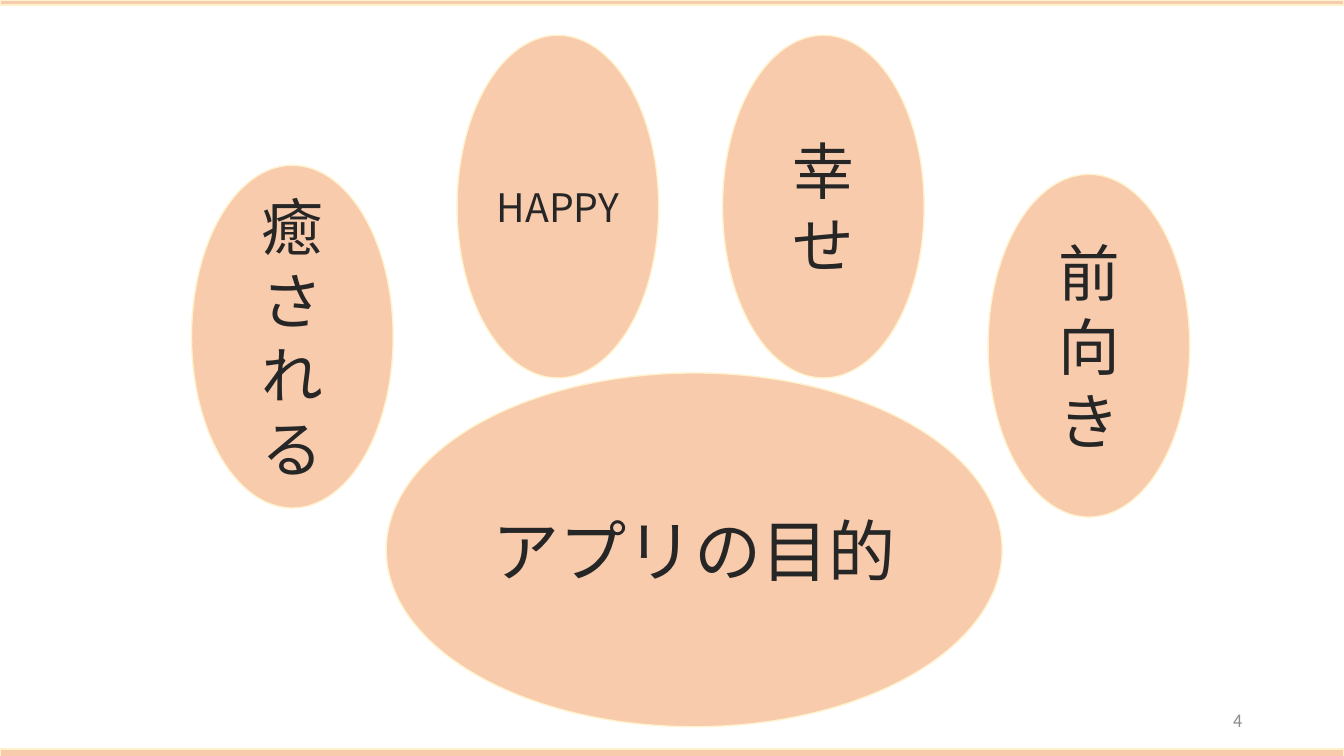
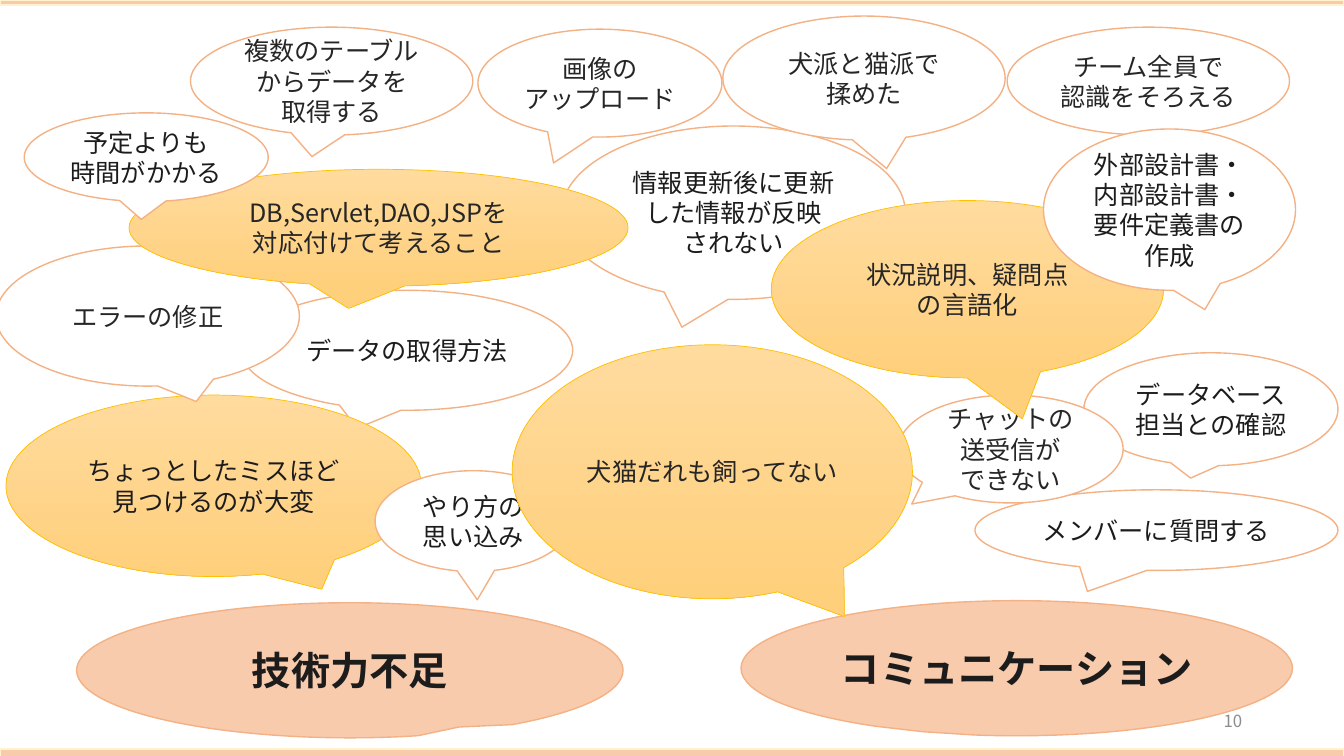
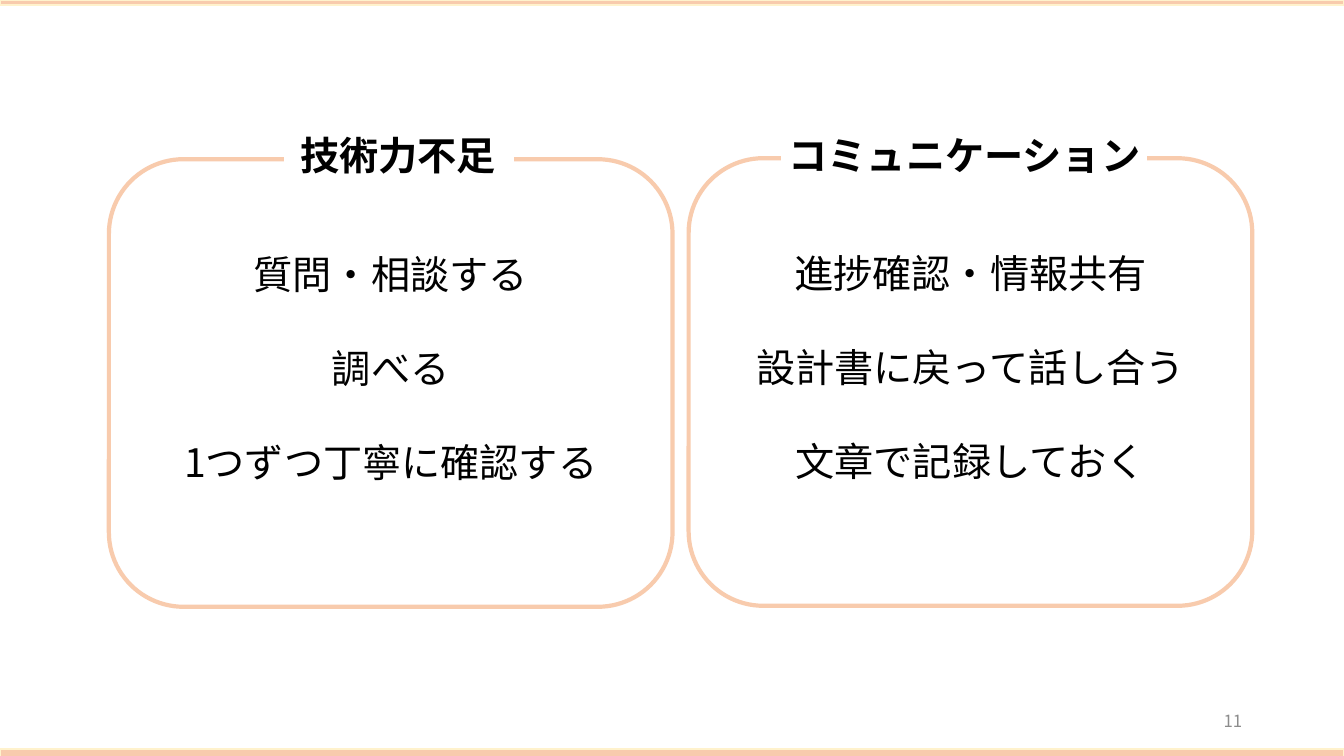
from lxml.etree import SubElement
from pptx import Presentation
from pptx.dml.color import RGBColor
from pptx.enum.shapes import MSO_SHAPE
from pptx.enum.text import MSO_ANCHOR, PP_ALIGN
from pptx.oxml.ns import qn
from pptx.util import Inches, Pt

FONT = "Noto Sans CJK JP"
PEACH, CREAM, ORANGE, GOLD = "F8CBAD", "FFF2CC", "F4B183", "FFC000"
WHITE, BLACK, DARK, INK, GREY = "FFFFFF", "000000", "262626", "1D1C1D", "8C8C8C"
SUNNY = ("FFDB9E", "FFD07C")


def add_item(s, kind, box, text="", size=18, color=DARK, bold=False, fill=None,
             line=None, width=1, align=PP_ALIGN.CENTER, anchor=MSO_ANCHOR.MIDDLE, gap=0):
    """Add a preset shape, or a text box when kind is None; a pair as fill is a gradient."""
    box = [Inches(v) for v in box]
    if kind is None:
        sp = s.shapes.add_textbox(*box)
    else:
        sp = s.shapes.add_shape(kind, *box)
        sp.shadow.inherit = False
        if isinstance(fill, tuple):
            sp.fill.gradient()
            sp.fill.gradient_angle = 270
            for stop, shade in zip(sp.fill.gradient_stops, fill):
                stop.color.rgb = RGBColor.from_string(shade)
        elif fill:
            sp.fill.solid()
            sp.fill.fore_color.rgb = RGBColor.from_string(fill)
        else:
            sp.fill.background()
        sp.line.color.rgb = RGBColor.from_string(line)
        sp.line.width = Pt(width)
    tf = sp.text_frame
    tf.word_wrap = True
    tf.vertical_anchor = anchor
    if not text:
        return sp
    for i, words in enumerate(text.split("\n")):
        p = tf.add_paragraph() if i else tf.paragraphs[0]
        p.alignment = align
        if i and gap:
            p.space_before = Pt(gap)
        r = p.add_run()
        r.text = words
        for name, value in {"name": FONT, "size": Pt(size), "bold": bold}.items():
            setattr(r.font, name, value)
        r.font.color.rgb = RGBColor.from_string(color)
        SubElement(r.font._element, qn("a:ea")).set("typeface", FONT)
    return sp


def add_frame(s, number):
    """Add the top and bottom bands and the slide number."""
    for top, height in ((0, 0.05), (7.43, 0.08)):
        add_item(s, MSO_SHAPE.RECTANGLE, (0, top, 13.33, height), fill=PEACH, line=CREAM)
    add_item(s, None, (9.42, 6.95, 3, 0.4), number, 12, GREY, align=PP_ALIGN.RIGHT)


prs = Presentation()
prs.slide_width, prs.slide_height = Inches(13.33), Inches(7.5)
blank = prs.slide_layouts[6]

# Purpose of the app, as a paw
s = prs.slides.add_slide(blank)
toes = [("癒される", 1.64, 44), ("HAPPY", 0.35, 28), ("幸せ", 0.35, 44), ("前向き", 1.73, 44)]
toe_step = (9.8 - 1.9) / 3
for i, (text, top, size) in enumerate(toes):
    add_item(s, MSO_SHAPE.OVAL, (1.9 + i * toe_step, top, 2, 3.4), text, size,
             fill=PEACH, line=CREAM)
add_item(s, MSO_SHAPE.OVAL, (3.83, 3.7, 6.11, 3.51), "アプリの目的", 48,
         fill=PEACH, line=CREAM)
add_frame(s, "4")

# Difficulties, as speech bubbles from back to front
s = prs.slides.add_slide(blank)
styles = {
    "clear": dict(line=ORANGE),
    "white": dict(fill=WHITE, line=ORANGE),
    "sunny": dict(fill=SUNNY, line=GOLD, width=0.5),
    "theme": dict(fill=PEACH, line=ORANGE, size=28, bold=True),
}
bubbles = [
    ("clear", (9.99, 0.27, 2.8, 1.07), (0.04, 0.71), DARK, "チーム全員で\n認識をそろえる"),
    ("clear", (2.39, 2.88, 3.29, 1.19), (-0.15, 0.65), INK, "データの取得方法"),
    ("clear", (10.75, 3.5, 2.52, 1.12), (-0.08, 0.61), INK, "データベース担当との確認"),
    ("white", (9.67, 4.86, 3.6, 0.8), (-0.19, 0.76), INK, "メンバーに質問する"),
    ("sunny", (0.06, 3.92, 4.12, 1.8), (0.26, 0.57), INK, "ちょっとしたミスほど見つけるのが大変"),
    ("theme", (7.35, 5.96, 5.47, 1.34), (-0.17, 0.47), INK, "コミュニケーション"),
    ("theme", (0.76, 5.98, 5.42, 1.34), (0.2, 0.42), INK, "技術力不足"),
    ("white", (-0.04, 2.44, 3.01, 1.39), (0.16, 0.61), DARK, "エラーの修正"),
    ("white", (5.57, 1.25, 3.41, 1.72), (-0.15, 0.66), INK, "情報更新後に更新した情報が反映\nされない"),
    ("white", (3.72, 4.67, 1.95, 1), (0.02, 0.78), INK, "やり方の思い込み"),
    ("sunny", (1.28, 1.68, 4.95, 1.16), (-0.06, 0.69), DARK, "DB,Servlet,DAO,JSPを\n対応付けて考えること"),
    ("clear", (1.89, 0.27, 2.8, 1.07), (-0.07, 0.7), DARK, "複数のテーブルからデータを\n取得する"),
    ("white", (8.91, 3.92, 2.23, 1.07), (-0.44, 0.51), DARK, "チャットの\n送受信が\nできない"),
    ("clear", (4.74, 0.29, 2.42, 1.07), (-0.19, 0.74), DARK, "画像の\nアップロード"),
    ("white", (0.24, 1.12, 2.42, 0.88), (-0.02, 0.7), INK, "予定よりも\n時間がかかる"),
    ("white", (7.17, 0.16, 2.8, 1.23), (0.08, 0.73), DARK, "犬派と猫派で\n揉めた"),
    ("sunny", (5.08, 3.42, 3.97, 2.52), (0.33, 0.57), DARK, "犬猫だれも飼ってない"),
    ("sunny", (7.65, 1.99, 3.89, 1.76), (0.14, 0.73), DARK, "状況説明、疑問点\nの言語化"),
    ("white", (10.35, 1.28, 2.5, 1.6), (0.14, 0.62), INK, "外部設計書・内部設計書・要件定義書の作成"),
]
for style, box, tip, color, text in bubbles:
    sp = add_item(s, MSO_SHAPE.OVAL_CALLOUT, box, text, color=color, **styles[style])
    sp.adjustments[0], sp.adjustments[1] = tip
add_frame(s, "10")

# Remedies, in two titled panels
s = prs.slides.add_slide(blank)
panels = [
    (1.08, 1.58, "技術力不足", (2.82, 2.27), (2.37, 3.16),
     "質問・相談する\n調べる\n1つずつ丁寧に確認する"),
    (6.83, 1.57, "コミュニケーション", (7.75, 3.62), (7.52, 4.09),
     "進捗確認・情報共有\n設計書に戻って話し合う\n文章で記録しておく"),
]
for left, top, title, (mask_x, mask_w), (title_x, title_w), remedies in panels:
    sp = add_item(s, MSO_SHAPE.ROUNDED_RECTANGLE, (left, top, 5.59, 4.44), remedies, 28,
                  BLACK, fill=WHITE, line=PEACH, width=3, gap=33.6)
    sp.text_frame.margin_bottom = Inches(0.35)
    add_item(s, MSO_SHAPE.RECTANGLE, (mask_x, 1.48, mask_w, 0.18), fill=WHITE, line=WHITE)
    add_item(s, None, (title_x, 1.25, title_w, 0.57), title, 28, BLACK, bold=True,
             anchor=MSO_ANCHOR.TOP)
add_frame(s, "11")

prs.save("out.pptx")
